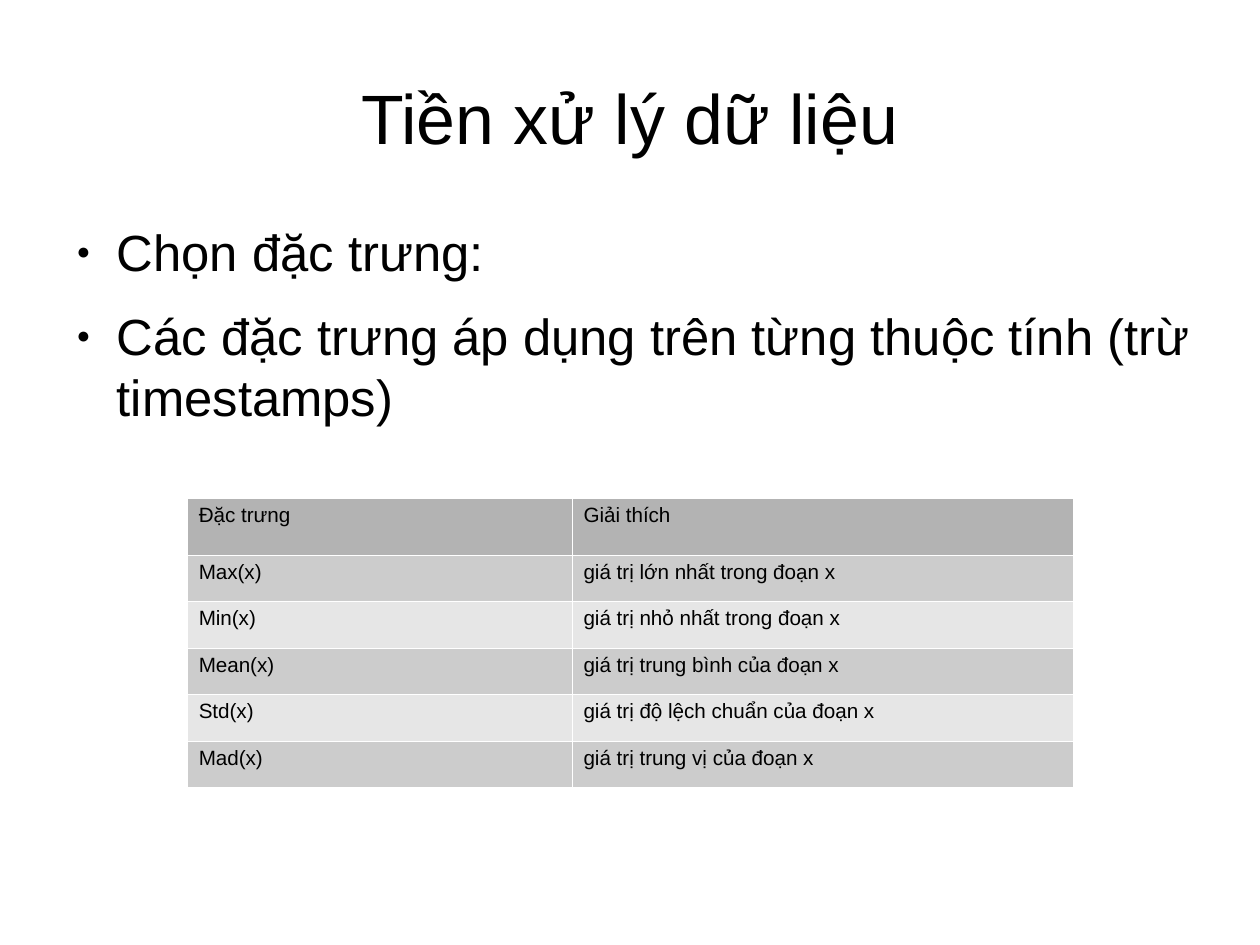
"""Build the data preprocessing slide with its table of features."""
from lxml.etree import SubElement
from pptx import Presentation
from pptx.dml.color import RGBColor as Rgb
from pptx.enum.text import MSO_ANCHOR as Anchor, PP_ALIGN as Align
from pptx.oxml.ns import qn
from pptx.util import Pt

TITLE = "Tiền xử lý dữ liệu"
POINTS = ["Chọn đặc trưng:", "Các đặc trưng áp dụng trên từng thuộc tính (trừ timestamps)"]
FEATURES = [
    ("Đặc trưng", "Giải thích"),
    ("Max(x)", "giá trị lớn nhất trong đoạn x"),
    ("Min(x)", "giá trị nhỏ nhất trong đoạn x"),
    ("Mean(x)", "giá trị trung bình của đoạn x"),
    ("Std(x)", "giá trị độ lệch chuẩn của đoạn x"),
    ("Mad(x)", "giá trị trung vị của đoạn x"),
]
THEME = {
    "font": "Arial", "ink": "000000", "rule": "FFFFFF",
    "header": "B3B3B3", "bands": ("CCCCCC", "E6E6E6"),
    "title": 44, "point": 32, "cell": 13,
}
SLIDE = (793.75, 595.25)
TITLE_BOX = (39.69, 23.73, 714.3, 99.38)
POINTS_BOX = (39.69, 139.29, 714.3, 345.23)
TABLE_AT = (118, 313.6)
COLUMNS = (242.4, 315.3)
ROWS = [35.9] + [29.3] * (len(FEATURES) - 1)
NO_INSETS = dict.fromkeys(("margin_left", "margin_top", "margin_right", "margin_bottom"), 0)
CELL_INSETS = {"margin_left": Pt(7.2), "margin_right": Pt(7.2),
               "margin_top": Pt(3.6), "margin_bottom": Pt(3.6)}


def apply(target, values):
    for name, value in values.items():
        setattr(target, name, value)


def write(paragraph, words, size):
    run = paragraph.add_run()
    run.text = words
    apply(run.font, {"name": THEME["font"], "size": Pt(THEME[size]), "bold": False})
    run.font.color.rgb = Rgb.from_string(THEME["ink"])


def add_frame(slide, box, **values):
    frame = slide.shapes.add_textbox(*map(Pt, box)).text_frame
    apply(frame, {"word_wrap": True, **NO_INSETS, **values})
    return frame


def add_bullet(paragraph):
    paragraph.space_before = Pt(14.2)
    properties = paragraph._p.get_or_add_pPr()
    properties.set("marL", str(Pt(33.84)))
    properties.set("indent", str(Pt(-25.2)))
    colour = SubElement(properties, qn("a:buClr"))
    SubElement(colour, qn("a:srgbClr"), val=THEME["ink"])
    SubElement(properties, qn("a:buSzPct"), val="45000")
    SubElement(properties, qn("a:buFont"), typeface=THEME["font"])
    SubElement(properties, qn("a:buChar"), char="●")


def add_borders(cell):
    properties = cell._tc.get_or_add_tcPr()
    for side in "LRTB":
        line = SubElement(properties, qn(f"a:ln{side}"), w=str(Pt(0.06)))
        fill = SubElement(line, qn("a:solidFill"))
        SubElement(fill, qn("a:srgbClr"), val=THEME["rule"])


def add_features(slide):
    size = (sum(COLUMNS), sum(ROWS))
    table = slide.shapes.add_table(
        len(ROWS), len(COLUMNS), *map(Pt, TABLE_AT + size)).table
    for column, width in zip(table.columns, COLUMNS):
        column.width = Pt(width)
    for index, (feature, height) in enumerate(zip(FEATURES, ROWS)):
        table.rows[index].height = Pt(height)
        shade = THEME["bands"][(index - 1) % 2] if index else THEME["header"]
        for cell, words in zip(table.rows[index].cells, feature):
            apply(cell, CELL_INSETS)
            add_borders(cell)
            cell.fill.solid()
            cell.fill.fore_color.rgb = Rgb.from_string(shade)
            write(cell.text_frame.paragraphs[0], words, "cell")


def main():
    deck = Presentation()
    width, height = SLIDE
    apply(deck, {"slide_width": Pt(width), "slide_height": Pt(height)})
    slide = deck.slides.add_slide(deck.slide_layouts[6])
    heading = add_frame(slide, TITLE_BOX, vertical_anchor=Anchor.MIDDLE).paragraphs[0]
    heading.alignment = Align.CENTER
    write(heading, TITLE, "title")
    body = add_frame(slide, POINTS_BOX)
    for index, point in enumerate(POINTS):
        paragraph = body.add_paragraph() if index else body.paragraphs[0]
        add_bullet(paragraph)
        write(paragraph, point, "point")
    add_features(slide)
    deck.save("out.pptx")


if __name__ == "__main__":
    main()
